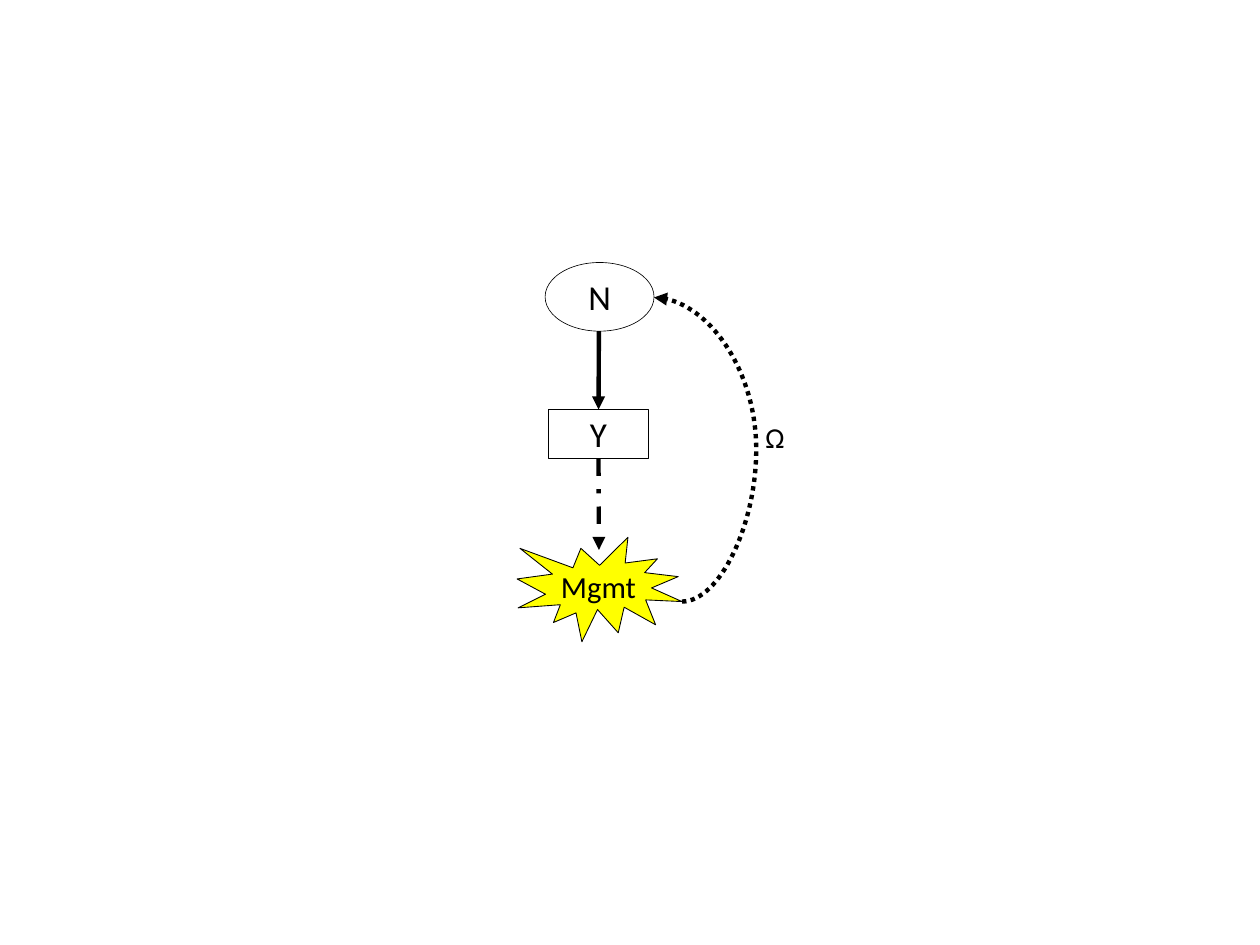
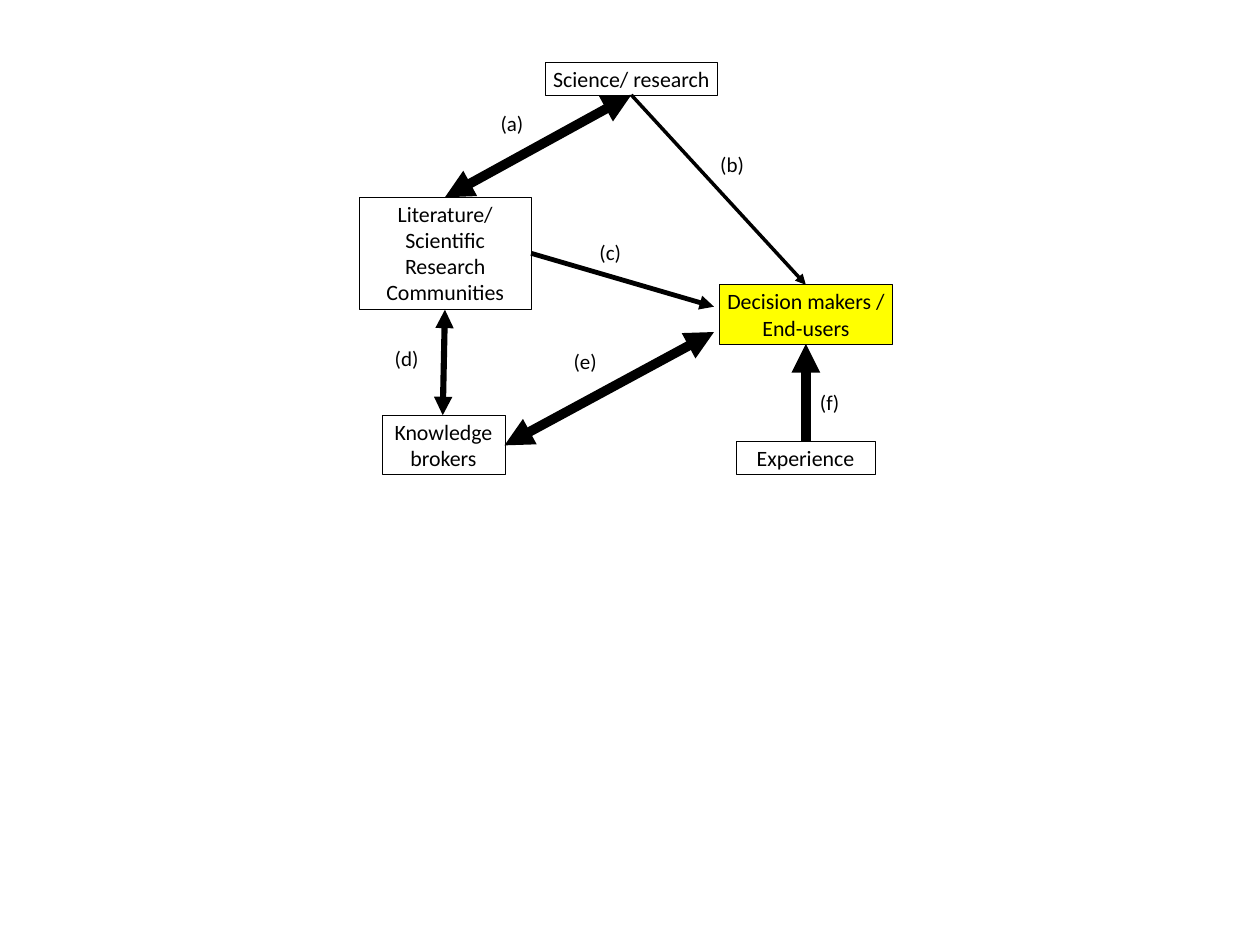
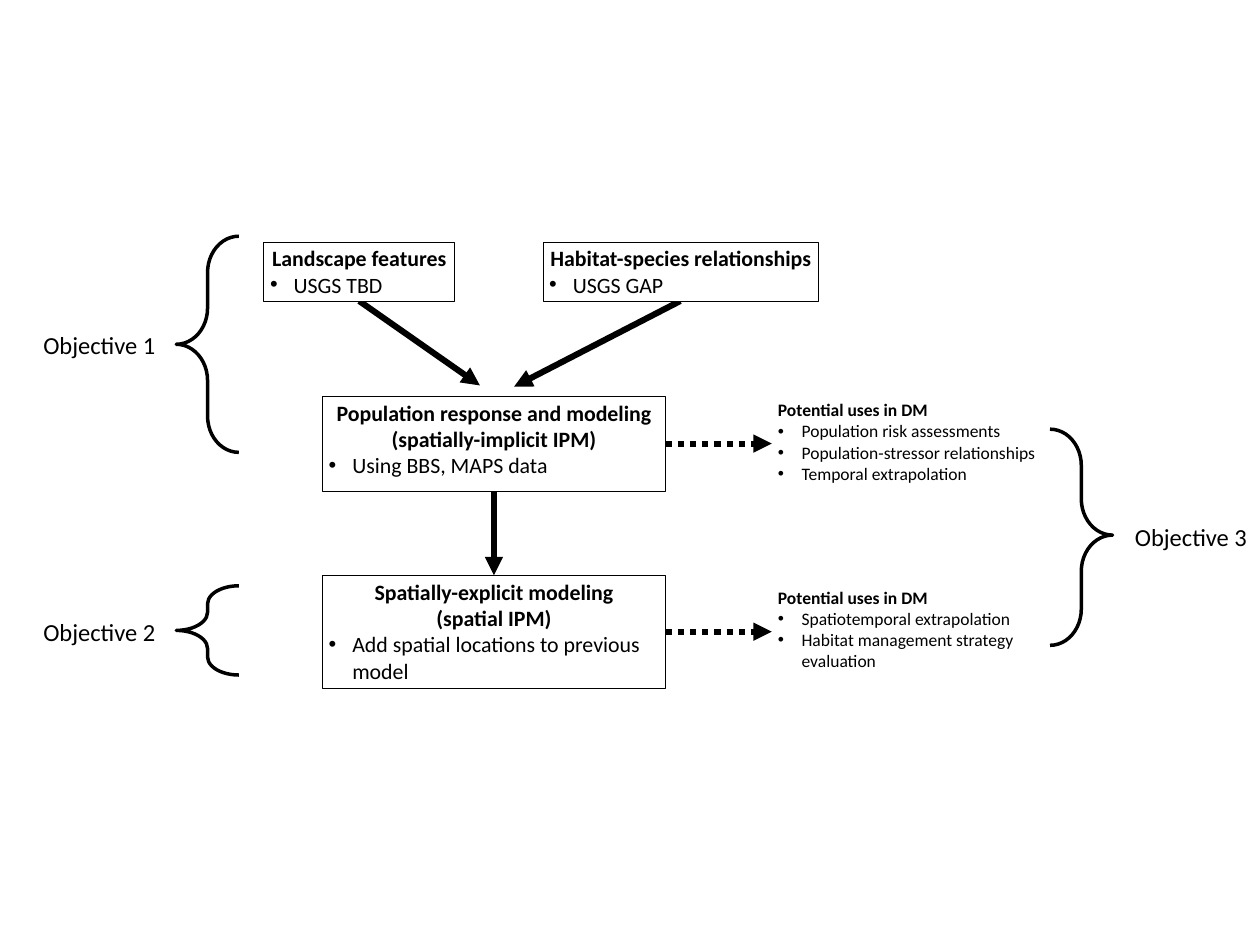
from pptx import Presentation
from pptx.dml.color import RGBColor
from pptx.enum.dml import MSO_LINE
from pptx.enum.shapes import MSO_CONNECTOR, MSO_SHAPE
from pptx.enum.text import MSO_ANCHOR, PP_ALIGN
from pptx.oxml.ns import qn
from pptx.util import Pt
from lxml.etree import SubElement

# Shared style
BLACK = RGBColor(0, 0, 0)
WHITE = RGBColor(255, 255, 255)
YELLOW = RGBColor(255, 255, 0)
FONT = "Calibri"
INDENT = 27
LEFT, MID, RIGHT = PP_ALIGN.LEFT, PP_ALIGN.CENTER, PP_ALIGN.RIGHT
TOP, CENTER = MSO_ANCHOR.TOP, MSO_ANCHOR.MIDDLE
RECT = MSO_SHAPE.RECTANGLE


# Text
def add_run(para, text, size, bold=False):
    run = para.add_run()
    run.text = text
    font = run.font
    font.name, font.size, font.bold = FONT, Pt(size), bold
    font.color.rgb = BLACK


def add_bullet(para):
    props = para._p.get_or_add_pPr()
    props.set("marL", str(Pt(INDENT)))
    props.set("indent", str(-Pt(INDENT)))
    SubElement(props, qn("a:buFont"), typeface="Arial")
    SubElement(props, qn("a:buChar"), char="•")


def fill_text(shape, heads, size, align, anchor=TOP, items=(), bold=False):
    frame = shape.text_frame
    frame.word_wrap = True
    frame.vertical_anchor = anchor
    for num, text in enumerate([*heads, *items]):
        para = frame.add_paragraph() if num else frame.paragraphs[0]
        is_head = num < len(heads)
        para.alignment = align if is_head else LEFT
        if not is_head:
            add_bullet(para)
        add_run(para, text, size, bold and is_head)


# Elements
def add_form(slide, kind, area, color=None, width=0.75):
    shape = slide.shapes.add_shape(kind, *map(Pt, area))
    shape.shadow.inherit = False
    if color is None:
        shape.fill.background()
    else:
        shape.fill.solid()
        shape.fill.fore_color.rgb = color
    shape.line.color.rgb = BLACK
    shape.line.width = Pt(width)
    return shape


def add_label(slide, area, text, size, align=LEFT, anchor=TOP):
    box = slide.shapes.add_textbox(*map(Pt, area))
    fill_text(box, [text], size, align, anchor)


def add_arrow(slide, start, end, width, dash=None, both=False,
              kind=MSO_CONNECTOR.STRAIGHT):
    arrow = slide.shapes.add_connector(kind, *map(Pt, (*start, *end)))
    arrow.line.color.rgb = BLACK
    arrow.line.width = Pt(width)
    if dash:
        arrow.line.dash_style = dash
    props = arrow._element.spPr
    line = props.find(qn("a:ln"))
    if both:
        SubElement(line, qn("a:headEnd"), type="triangle")
    SubElement(line, qn("a:tailEnd"), type="triangle")
    SubElement(props, qn("a:effectLst"))
    return arrow


def bend(arrow, ratio):
    geom = arrow._element.spPr.find(qn("a:prstGeom"))
    guides = geom.find(qn("a:avLst"))
    if guides is None:
        guides = SubElement(geom, qn("a:avLst"))
    SubElement(guides, qn("a:gd"), name="adj1",
               fmla=f"val {round(ratio * 100000)}")


def add_brace(slide, area, curve, point=0.5, turn=0):
    brace = add_form(slide, MSO_SHAPE.LEFT_BRACE, area, width=4)
    brace.adjustments[0] = curve
    brace.adjustments[1] = point
    brace.rotation = turn


# Slides
def draw_loop(slide):
    state = add_form(slide, RECT, (626.5, 468, 114.5, 55.5))
    fill_text(state, ["Y"], 40, MID)
    size = add_form(slide, MSO_SHAPE.OVAL, (623, 300, 124.5, 78.5))
    fill_text(size, ["N"], 40, MID, CENTER)
    add_arrow(slide, (684.5, 378.5), (684, 468), 5)
    burst = add_form(slide, MSO_SHAPE.EXPLOSION1, (591, 614, 188.5, 119.5),
                     YELLOW, 1)
    fill_text(burst, ["Mgmt"], 35, MID, CENTER)
    add_arrow(slide, (684, 524), (684.5, 628.5), 5, MSO_LINE.DASH_DOT)
    back = add_arrow(slide, (779.5, 687.5), (747.5, 340), 5,
                     MSO_LINE.ROUND_DOT, kind=MSO_CONNECTOR.CURVE)
    bend(back, -2.65)
    add_label(slide, (867.5, 476.5, 36.5, 47.5), "Ω", 33, MID)


def draw_flow(slide):
    # Links
    for start, end, width, both in (
        ((721.5, 108.5), (921, 325.5), 4, False),
        ((721.5, 108.5), (508.5, 225.5), 11, True),
        ((576.5, 509), (816, 379.5), 11, True),
        ((921, 504.5), (921, 393), 11, False),
        ((607, 289.5), (816, 350.5), 5.5, False),
        ((506, 474.5), (508.5, 354), 7, True),
    ):
        add_arrow(slide, start, end, width, both=both)
    # Groups
    for text, area, color in (
        ("Science/ research", (623, 71.5, 197, 37.5), None),
        ("Literature/ Scientific Research Communities",
         (410.5, 225.5, 196.5, 128), None),
        ("Decision makers / End-users", (822.5, 325.5, 197, 67.5), YELLOW),
        ("Knowledge brokers", (436.5, 474.5, 140.5, 67.5), None),
        ("Experience", (841, 504.5, 159, 37.5), None),
    ):
        fill_text(add_form(slide, RECT, area, color), [text], 25, MID)
    # Link names
    spots = ((565, 123), (816, 170), (678, 270),
             (444, 391), (648.5, 394.5), (930, 442))
    for name, spot in zip("abcdef", spots):
        add_label(slide, (*spot, 42, 36), f"({name})", 24)


def draw_plan(slide):
    # Links
    for start, end in (
        ((410.5, 344), (548.5, 440.5)),
        ((777.5, 344), (587.5, 442)),
        ((564.5, 561), (564.5, 657.5)),
    ):
        add_arrow(slide, start, end, 7)
    for top in (507, 722):
        add_arrow(slide, (760.5, top), (882, top), 7, MSO_LINE.ROUND_DOT)
    # Steps
    for area, heads, item in (
        ((301.5, 276.5, 218, 67.5), ["Landscape features"], "USGS TBD"),
        ((620.5, 276.5, 315, 67.5), ["Habitat-species relationships"],
         "USGS GAP"),
        ((368.5, 453, 392, 108.5),
         ["Population response and modeling (spatially-implicit IPM)"],
         "Using BBS, MAPS data"),
        ((368.5, 657.5, 392, 129),
         ["Spatially-explicit modeling", "(spatial IPM)"],
         "Add spatial locations to previous model"),
    ):
        step = add_form(slide, RECT, area, WHITE)
        fill_text(step, heads, 25, MID, items=[item], bold=True)
    # Uses
    for top, items in (
        (453, ["Population risk assessments",
               "Population-stressor relationships",
               "Temporal extrapolation"]),
        (667.5, ["Spatiotemporal extrapolation",
                 "Habitat management strategy evaluation"]),
    ):
        note = slide.shapes.add_textbox(Pt(882), Pt(top), Pt(328.5), Pt(109))
        fill_text(note, ["Potential uses in DM"], 20, LEFT, items=items,
                  bold=True)
    # Goals
    add_brace(slide, (201.5, 270, 71.5, 247), 0.58)
    add_brace(slide, (201.5, 669.5, 71.5, 102), 0.29)
    add_brace(slide, (1200, 490.5, 71.5, 247), 0.58, 0.51, 180)
    goals = ((40.5, 373), (40.5, 701.5), (1288, 592.5))
    for num, spot in enumerate(goals, 1):
        add_label(slide, (*spot, 144, 41), f"Objective {num}", 28, RIGHT,
                  CENTER)


def main():
    deck = Presentation()
    deck.slide_width, deck.slide_height = Pt(1440), Pt(1080)
    blank = deck.slide_layouts[6]
    for draw in (draw_loop, draw_flow, draw_plan):
        draw(deck.slides.add_slide(blank))
    deck.save("out.pptx")


main()
